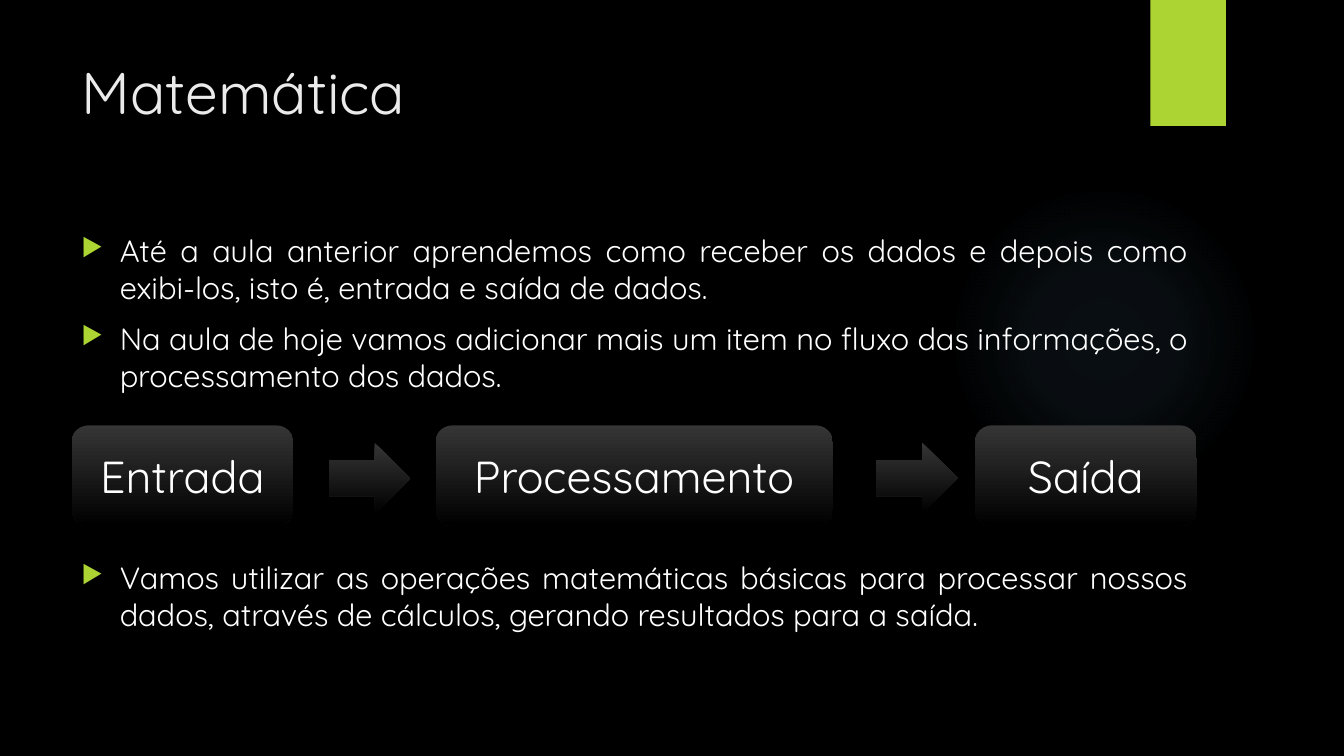
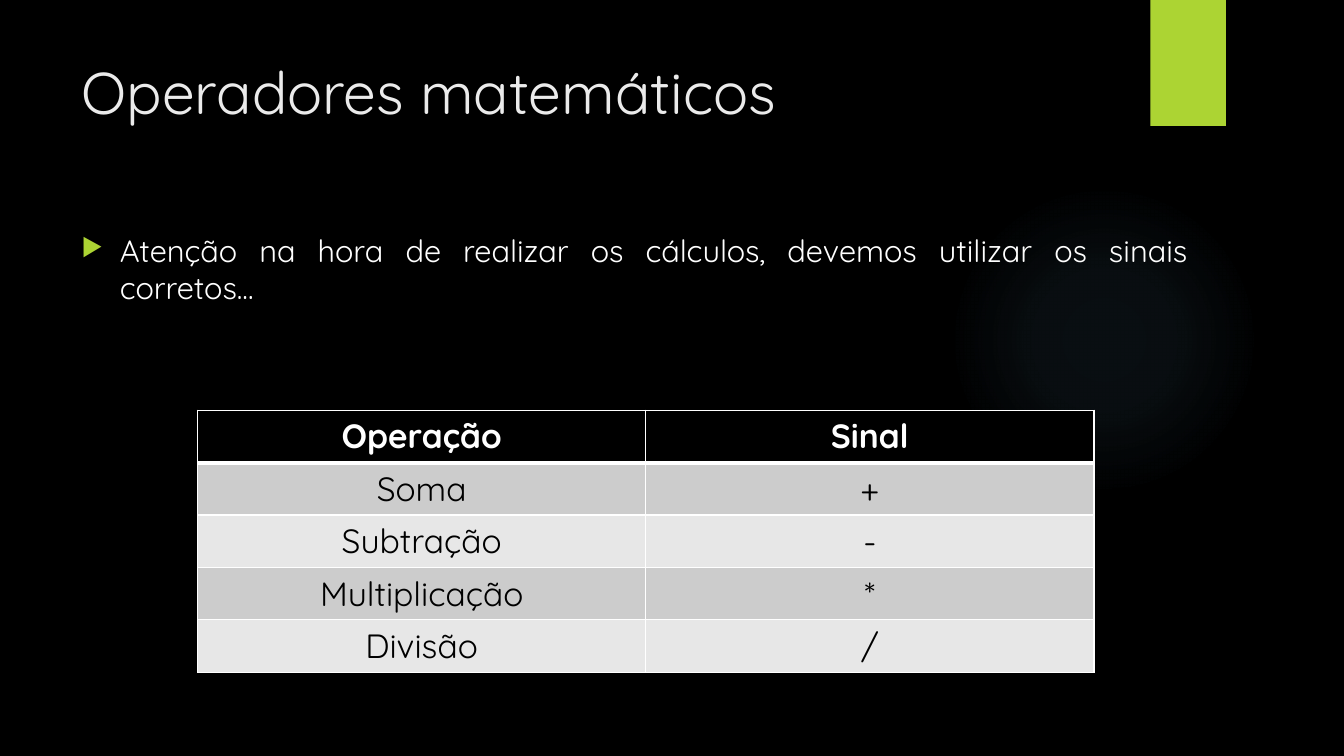
from dataclasses import dataclass

from pptx import Presentation
from pptx.dml.color import RGBColor
from pptx.enum.shapes import MSO_SHAPE
from pptx.enum.text import MSO_ANCHOR, MSO_AUTO_SIZE, PP_ALIGN
from pptx.oxml import parse_xml
from pptx.oxml.ns import nsdecls
from pptx.util import Pt

EMU_PER_PX = 9144  # 100 px to the inch
FONT = "Quicksand"
COLORS = {
    "black": "000000",
    "white": "FFFFFF",
    "title": "EBEBEB",
    "accent": "ACD433",
    "glow": "7AC4F0",
    "panel": "353535",
    "row_odd": "CCCCCC",
    "row_even": "E7E7E7",
}


@dataclass(frozen=True)
class Frame:
    left: int
    top: int
    width: int
    height: int

    def emu(self) -> tuple[int, ...]:
        return tuple(px(n) for n in (self.left, self.top, self.width, self.height))


@dataclass(frozen=True)
class Bullet:
    text: str
    space_before: int = 10


@dataclass(frozen=True)
class FlowPart:
    kind: MSO_SHAPE
    frame: Frame
    label: str = ""


TITLE_FRAME = Frame(71, 50, 1029, 153)
BODY_FRAME = Frame(71, 225, 1117, 459)
GLOW_FRAME = Frame(941, 183, 308, 308)
TAB_FRAME = Frame(1141, 0, 75, 125)
TABLE_FRAME = Frame(196, 407, 889, 260)

INTRO_BULLETS = [
    Bullet("Até a aula anterior aprendemos como receber os dados e depois como "
           "exibi-los, isto é, entrada e saída de dados."),
    Bullet("Na aula de hoje vamos adicionar mais um item no fluxo das informações, "
           "o processamento dos dados."),
    # The large gap leaves room for the flow diagram
    Bullet("Vamos utilizar as operações matemáticas básicas para processar nossos "
           "dados, através de cálculos, gerando resultados para a saída.", 118),
]
FLOW = [
    FlowPart(MSO_SHAPE.ROUNDED_RECTANGLE, Frame(71, 422, 220, 100), "Entrada"),
    FlowPart(MSO_SHAPE.ROUNDED_RECTANGLE, Frame(432, 422, 394, 100), "Processamento"),
    FlowPart(MSO_SHAPE.ROUNDED_RECTANGLE, Frame(967, 422, 220, 100), "Saída"),
    FlowPart(MSO_SHAPE.RIGHT_ARROW, Frame(326, 439, 81, 71)),
    FlowPart(MSO_SHAPE.RIGHT_ARROW, Frame(869, 439, 81, 71)),
]
OPERATOR_BULLETS = [
    Bullet("Atenção na hora de realizar os cálculos, devemos utilizar os sinais corretos..."),
]
OPERATORS = [
    ("Operação", "Sinal"),
    ("Soma", "+"),
    ("Subtração", "-"),
    ("Multiplicação", "*"),
    ("Divisão", "/"),
]


def px(count: int) -> int:
    return count * EMU_PER_PX


def rgb(name: str) -> RGBColor:
    return RGBColor.from_string(COLORS[name])


def write(para, text: str, *, size: int, color: str = "white",
          align: PP_ALIGN = PP_ALIGN.LEFT, bold: bool = False) -> None:
    para.alignment = align
    span = para.add_run()
    span.text = text
    span.font.name = FONT
    span.font.size = Pt(size)
    span.font.bold = bold
    span.font.color.rgb = rgb(color)


def add_plain_shape(page, kind: MSO_SHAPE, frame: Frame):
    shape = page.shapes.add_shape(kind, *frame.emu())
    shape.shadow.inherit = False
    shape.line.fill.background()
    return shape


def add_glow(page) -> None:
    glow = add_plain_shape(page, MSO_SHAPE.OVAL, GLOW_FRAME)
    stops = "".join(
        f'<a:gs pos="{position * 1000}"><a:srgbClr val="{COLORS["glow"]}">'
        f'<a:alpha val="{alpha * 1000}"/></a:srgbClr></a:gs>'
        for position, alpha in ((0, 7), (36, 6), (69, 0))
    )
    gradient = parse_xml(
        f'<a:gradFill {nsdecls("a")} rotWithShape="1"><a:gsLst>{stops}</a:gsLst>'
        '<a:path path="circle"><a:fillToRect l="50000" t="50000" r="50000" b="50000"/>'
        "</a:path></a:gradFill>"
    )
    glow._element.spPr.find("{*}prstGeom").addnext(gradient)


def add_page(deck, title: str):
    """Add a page with the shared glow, corner tab and title."""
    page = deck.slides.add_slide(deck.slide_layouts[5])
    add_glow(page)
    tab = add_plain_shape(page, MSO_SHAPE.RECTANGLE, TAB_FRAME)
    tab.fill.solid()
    tab.fill.fore_color.rgb = rgb("accent")

    box = page.shapes.title
    box.left, box.top, box.width, box.height = TITLE_FRAME.emu()
    box.text_frame.auto_size = MSO_AUTO_SIZE.NONE
    box.text_frame.vertical_anchor = MSO_ANCHOR.TOP
    write(box.text_frame.paragraphs[0], title, size=42, color="title")
    return page


def set_bullet(para) -> None:
    properties = para._p.get_or_add_pPr()
    properties.set("marL", str(px(38)))
    properties.set("indent", str(px(-38)))
    for tag in (
        f'<a:buClr {nsdecls("a")}><a:srgbClr val="{COLORS["accent"]}"/></a:buClr>',
        f'<a:buSzPct {nsdecls("a")} val="80000"/>',
        f'<a:buChar {nsdecls("a")} char="▶"/>',
    ):
        properties.append(parse_xml(tag))


def add_bullets(page, bullets: list[Bullet]) -> None:
    text_frame = page.shapes.add_textbox(*BODY_FRAME.emu()).text_frame
    text_frame.word_wrap = True
    for index, bullet in enumerate(bullets):
        para = text_frame.add_paragraph() if index else text_frame.paragraphs[0]
        write(para, bullet.text, size=22, align=PP_ALIGN.JUSTIFY)
        para.space_before = Pt(bullet.space_before)
        set_bullet(para)


def add_flow_part(page, part: FlowPart) -> None:
    shape = add_plain_shape(page, part.kind, part.frame)
    shape.fill.gradient()
    shape.fill.gradient_angle = 270
    for stop, color in zip(shape.fill.gradient_stops, ("panel", "black")):
        stop.color.rgb = rgb(color)
    if part.label:
        shape.text_frame.vertical_anchor = MSO_ANCHOR.MIDDLE
        write(shape.text_frame.paragraphs[0], part.label, size=32, align=PP_ALIGN.CENTER)


def set_borders(cell, widths: dict[str, int]) -> None:
    properties = cell._tc.get_or_add_tcPr()
    for index, (side, width) in enumerate(widths.items()):
        properties.insert(index, parse_xml(
            f'<a:ln{side} {nsdecls("a")} w="{Pt(width)}"><a:solidFill>'
            f'<a:srgbClr val="{COLORS["white"]}"/></a:solidFill></a:ln{side}>'
        ))


def add_operator_table(page, rows: list[tuple[str, str]]) -> None:
    table = page.shapes.add_table(len(rows), len(rows[0]), *TABLE_FRAME.emu()).table
    table.horz_banding = False
    for row, values in enumerate(rows):
        header = row == 0
        fill = "black" if header else ("row_odd" if row % 2 else "row_even")
        for column, value in enumerate(values):
            cell = table.cell(row, column)
            cell.fill.solid()
            cell.fill.fore_color.rgb = rgb(fill)
            write(cell.text_frame.paragraphs[0], value, size=24, bold=header,
                  color="white" if header else "black", align=PP_ALIGN.CENTER)
            set_borders(cell, {"L": 1, "R": 1, "T": 3 if row == 1 else 1,
                               "B": 3 if header else 1})


def main() -> None:
    deck = Presentation()
    deck.slide_width, deck.slide_height = px(1333), px(750)
    background = deck.slide_master.background.fill
    background.solid()
    background.fore_color.rgb = rgb("black")

    # Input, processing and output
    page = add_page(deck, "Matemática")
    add_bullets(page, INTRO_BULLETS)
    for part in FLOW:
        add_flow_part(page, part)

    # Operators and their signs
    page = add_page(deck, "Operadores matemáticos")
    add_bullets(page, OPERATOR_BULLETS)
    add_operator_table(page, OPERATORS)

    deck.save("out.pptx")


if __name__ == "__main__":
    main()
